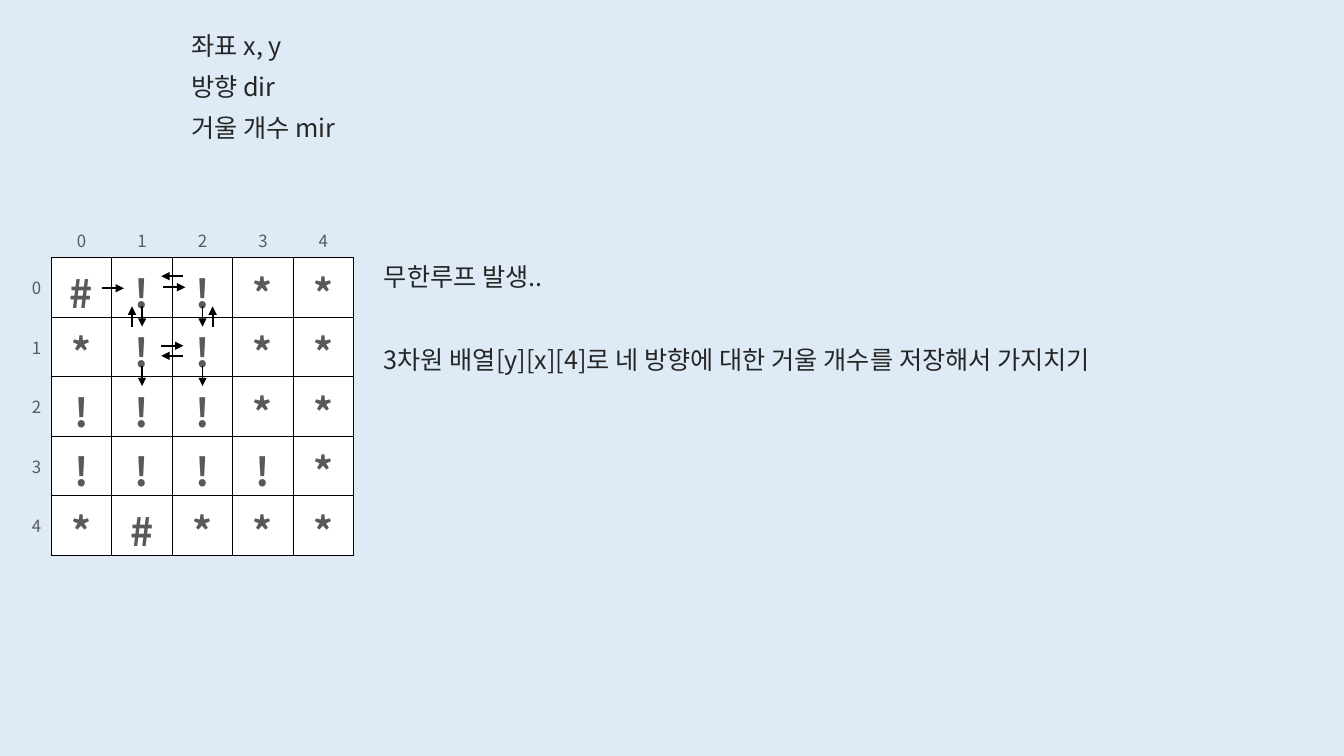
from lxml import etree
from pptx import Presentation
from pptx.dml.color import RGBColor
from pptx.enum import shapes, text
from pptx.oxml import ns
from pptx.util import Pt

FONT = "Noto Sans CJK KR"


def rgb(color):
    return RGBColor.from_string(color)


def style(p, size, color, bold=False):
    """Format the runs of a paragraph, Hangul included."""
    for r in p.runs:
        r.font.size = Pt(size)
        r.font.bold = bold
        r.font.name = FONT
        r.font.color.rgb = rgb(color)
        ea = etree.SubElement(r.font._element, ns.qn("a:ea"))
        ea.set("typeface", FONT)


prs = Presentation()
prs.slide_width, prs.slide_height = Pt(960), Pt(540)
s = prs.slides.add_slide(prs.slide_layouts[6])
s.background.fill.solid()
s.background.fill.fore_color.rgb = rgb("DEEBF7")

# Text blocks: left, top, space before each line, lines
notes = [
    (129.6, 20.2, 10, ["좌표 x, y", "방향 dir", "거울 개수 mir"]),
    (267.1, 185.8, 39.3, ["무한루프 발생..",
                          "3차원 배열[y][x][4]로 네 방향에 대한 거울 개수를 저장해서 가지치기"]),
]
for left, top, gap, lines in notes:
    tf = s.shapes.add_textbox(Pt(left), Pt(top), Pt(576), Pt(105.8)).text_frame
    tf.word_wrap = True
    tf.text = "\n".join(lines)
    for i, p in enumerate(tf.paragraphs):
        p.line_spacing = 0.9
        p.space_before = Pt(gap if i else 10)
        style(p, 18, "262626")

# Mirror grid with column and row numbers
grid = ["#!!**", "*!!**", "!!!**", "!!!!*", "*#***"]
rows = [" 01234"] + [f"{i}{line}" for i, line in enumerate(grid)]
table = s.shapes.add_table(6, 6, Pt(-6.6), Pt(143.2), Pt(259.2), Pt(253.4)).table
table.first_row = table.horz_banding = False
for col in table.columns:
    col.width = Pt(43.2)
for y, row in enumerate(rows):
    table.rows[y].height = Pt(42.48 if y else 41)
    for x, mark in enumerate(row):
        cell = table.cell(y, x)
        inside = x > 0 and y > 0
        ruled = {
            "L": inside,
            "R": y > 0,
            "T": inside,
            "B": x > 0,
        }
        tcPr = cell._tc.get_or_add_tcPr()
        for side, shown in ruled.items():
            ln = etree.SubElement(tcPr, ns.qn(f"a:ln{side}"), w=str(Pt(1)))
            if shown:
                fill = etree.SubElement(ln, ns.qn("a:solidFill"))
                etree.SubElement(fill, ns.qn("a:srgbClr"), val="000000")
            else:
                etree.SubElement(ln, ns.qn("a:noFill"))
        if inside:
            cell.fill.solid()
            cell.fill.fore_color.rgb = rgb("FFFFFF")
        else:
            cell.fill.background()
        cell.vertical_anchor = text.MSO_ANCHOR.MIDDLE if y else text.MSO_ANCHOR.BOTTOM
        cell.text = mark.strip()
        p = cell.text_frame.paragraphs[0]
        p.alignment = text.PP_ALIGN.CENTER if x else text.PP_ALIGN.RIGHT
        style(p, 28 if inside else 12, "595959", inside)

# Light path: start of each arrow and its direction
steps = {"right": (15.8, 0), "left": (-15.8, 0), "down": (0, 14.4), "up": (0, -14.4)}
arrows = [
    (72.7, 205.9, "right"), (116.6, 205.2, "right"),
    (101.5, 218.9, "down"), (144.7, 218.9, "down"),
    (115.2, 247, "right"), (144.7, 261.4, "down"),
    (151.9, 233.3, "up"), (131, 197.3, "left"),
    (131, 254.2, "left"), (101.5, 261.4, "down"),
    (94.3, 233.3, "up"),
]
for x, y, direction in arrows:
    dx, dy = steps[direction]
    arrow = s.shapes.add_connector(shapes.MSO_CONNECTOR.STRAIGHT,
                                   Pt(x), Pt(y), Pt(x + dx), Pt(y + dy))
    arrow.line.color.rgb = rgb("000000")
    arrow.line.width = Pt(1.25)
    etree.SubElement(arrow.line._get_or_add_ln(), ns.qn("a:tailEnd"), type="triangle")
    etree.SubElement(arrow._element.spPr, ns.qn("a:effectLst"))

prs.save("out.pptx")
